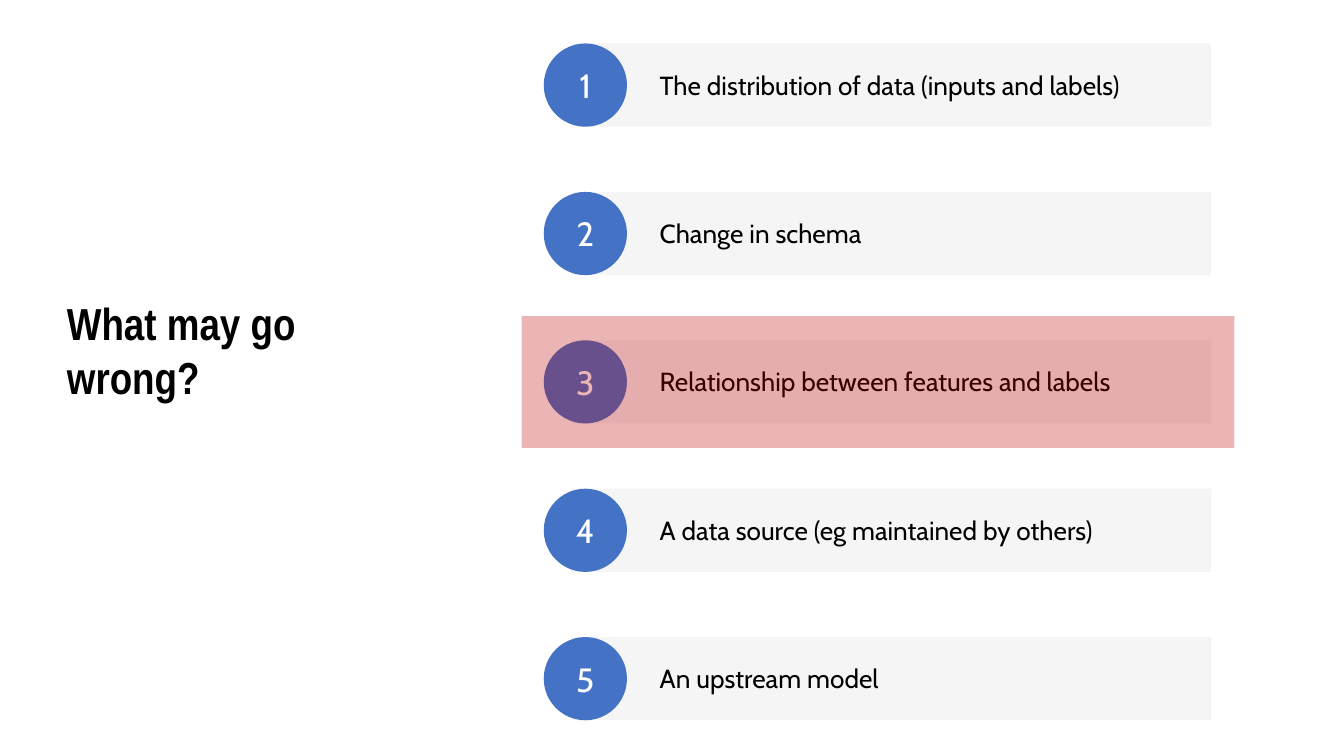
from lxml.etree import SubElement
from pptx import Presentation
from pptx.dml.color import RGBColor
from pptx.enum.shapes import MSO_SHAPE
from pptx.enum.text import MSO_ANCHOR, PP_ALIGN
from pptx.oxml.ns import qn
from pptx.util import Pt

TITLE = "What may go wrong?"
RISKS = [
    "The distribution of data (inputs and labels)",
    "Change in schema",
    "Relationship between features and labels",
    "A data source (eg maintained by others)",
    "An upstream model",
]
HIGHLIGHTED = 3

ROW_TOP, ROW_PITCH, ROW_H = 23.3, 79.5, 44.6
CIRCLE_X, BAR_X, BAR_W = 291.3, 306, 342.8
LABEL_X, LABEL_W, LABEL_H = 346.3, 303, 24.4
MARK_X, MARK_W, MARK_H = 279.5, 381.8, 70.6


def rgb(value):
    return RGBColor.from_string(value)


def add_shape(shapes, kind, x, y, w, h, color, opacity=100):
    s = shapes.add_shape(kind, Pt(x), Pt(y), Pt(w), Pt(h))
    s.shadow.inherit = False
    s.fill.solid()
    s.fill.fore_color.rgb = rgb(color)
    s.line.fill.background()
    if opacity < 100:
        clr = s._element.spPr.find(qn("a:solidFill"))[0]
        SubElement(clr, qn("a:alpha"), val=str(opacity * 1000))
    return s


def write(s, text, size, font, color, bold=False):
    tf = s.text_frame
    tf.word_wrap = True
    p = tf.paragraphs[0]
    r = p.add_run()
    r.text = text
    r.font.size = Pt(size)
    r.font.name = font
    r.font.bold = bold
    r.font.color.rgb = rgb(color)
    return p


def add_text(shapes, x, y, w, h, *style):
    s = shapes.add_textbox(Pt(x), Pt(y), Pt(w), Pt(h))
    write(s, *style)
    return s


def add_risk(slide, number, text, y):
    shapes = slide.shapes.add_group_shape().shapes
    add_shape(shapes, MSO_SHAPE.RECTANGLE, BAR_X, y, BAR_W, ROW_H, "EDEDED", 50)
    circle = add_shape(shapes, MSO_SHAPE.OVAL, CIRCLE_X, y, ROW_H, ROW_H, "4472C4")
    circle.text_frame.vertical_anchor = MSO_ANCHOR.MIDDLE
    p = write(circle, str(number), 18, "Cabin", "FFFFFF")
    p.alignment = PP_ALIGN.CENTER
    label_y = y + (ROW_H - LABEL_H) / 2
    add_text(shapes, LABEL_X, label_y, LABEL_W, LABEL_H, text, 14, "Cabin", "000000")


def main():
    prs = Presentation()
    prs.slide_width, prs.slide_height = Pt(720), Pt(405)
    slide = prs.slides.add_slide(prs.slide_layouts[6])
    add_text(slide.shapes, 28.8, 154.8, 189.4, 95.8,
             TITLE, 24, "Arial Narrow", "000000", True)
    for i, text in enumerate(RISKS):
        add_risk(slide, i + 1, text, ROW_TOP + i * ROW_PITCH)
    mark_y = ROW_TOP + (HIGHLIGHTED - 1) * ROW_PITCH - (MARK_H - ROW_H) / 2
    add_shape(slide.shapes, MSO_SHAPE.RECTANGLE,
              MARK_X, mark_y, MARK_W, MARK_H, "C00000", 29)
    prs.save("out.pptx")


if __name__ == "__main__":
    main()
